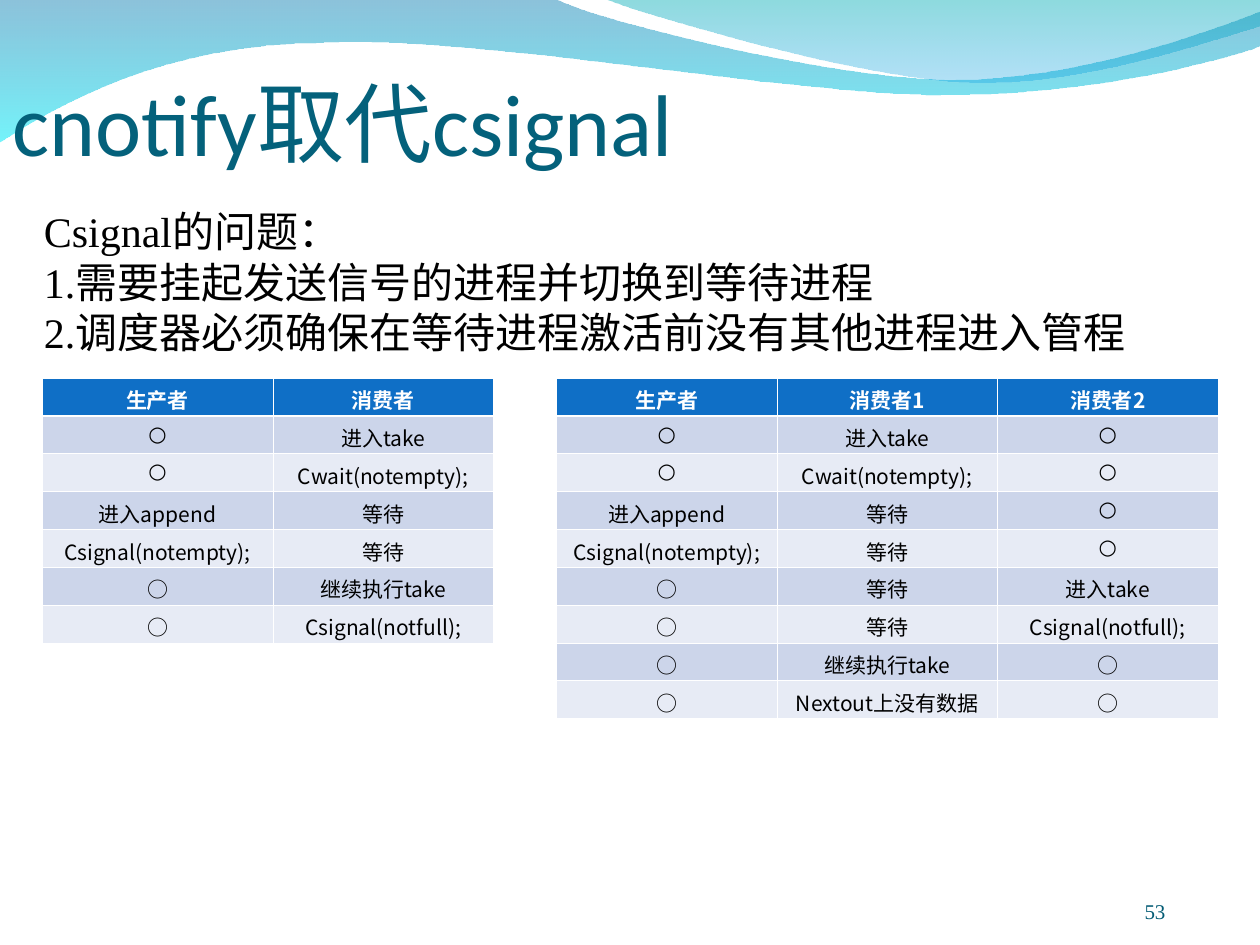
from lxml import etree
from pptx import Presentation
from pptx import util as u
from pptx.dml.color import RGBColor
from pptx.enum import text
from pptx.oxml import ns

Pt = u.Pt
SANS = "Noto Sans CJK SC"


def tint(hue):
    return RGBColor.from_string(hue)


def style(para, face, size, hue, bold=False):
    font = para.font
    font.name, font.size, font.bold = face, Pt(size), bold
    font.color.rgb = tint(hue)
    if face == SANS:
        east = etree.SubElement(font._element, ns.qn("a:ea"))
        east.set("typeface", face)


deck = Presentation()
deck.slide_width, deck.slide_height = Pt(720), Pt(540)
slide = deck.slides.add_slide(deck.slide_layouts[6])

waves = [
    ([[(0, -0.72)], [(316.8, -0.72)],
      [(342.72, 12.24), (478.08, 45.36), (545.76, 45.36)],
      [(614.16, 45.36), (689.76, 18.72), (720, 6.48)],
      [(720.72, 25.92)],
      [(707.76, 31.68), (626.4, 54.72), (537.12, 54)],
      [(447.84, 54), (275.04, 20.16), (185.04, 24.48)],
      [(92.88, 25.2), (33.12, 59.76), (-0.72, 81.36)],
      [(0, -0.72)]],
     [("0079AF", 45), ("00EBF8", 55)]),
    ([[(344.88, -0.72)],
      [(366.48, 7.92), (491.04, 44.64), (553.68, 46.8)],
      [(616.32, 49.68), (691.92, 23.04), (720, 15.12)],
      [(720, 0)],
      [(344.88, -0.72)]],
     [("00ADB6", 45), ("009BE5", 30)]),
]
for parts, stops in waves:
    dots = [(x * 100, y * 100) for part in parts for x, y in part]
    pen = slide.shapes.build_freeform(*dots[0], scale=Pt(1) / 100)
    pen.add_line_segments(dots[1:], close=True)
    wave = pen.convert_to_shape()
    lines = iter(list(wave._element.iter(ns.qn("a:lnTo"))))
    for part in parts[1:]:
        group = [next(lines) for _ in part]
        if len(group) == 3:
            curve = etree.Element(ns.qn("a:cubicBezTo"))
            group[0].addprevious(curve)
            for line in group:
                curve.append(line[0])
                line.getparent().remove(line)
    wave.shadow.inherit = False
    wave.line.fill.background()
    wave.fill.gradient()
    wave.fill.gradient_angle = 270
    for stop, (hue, alpha) in zip(wave.fill.gradient_stops, stops):
        stop.color.rgb = tint(hue)
        tone = stop._gs.find(ns.qn("a:srgbClr"))
        etree.SubElement(tone, ns.qn("a:alpha")).set("val", str(alpha * 1000))

notes = ["Csignal的问题：",
         "1.需要挂起发送信号的进程并切换到等待进程",
         "2.调度器必须确保在等待进程激活前没有其他进程进入管程"]
boxes = [
    ((516, 492, 150, 36), ["53"], "Times New Roman", 12, "045C75"),
    ((0, 36, 744, 90), ["cnotify取代csignal"], "Calibri", 50, "04617B"),
    ((18, 114, 690, 93.6), notes, "Times New Roman", 24, "000000"),
]
frames = []
for area, lines, face, size, hue in boxes:
    frame = slide.shapes.add_textbox(*map(Pt, area)).text_frame
    frame.word_wrap = True
    frame.text = "\n".join(lines)
    for para in frame.paragraphs:
        style(para, face, size, hue)
    frames.append(frame)

page, title, body = frames
page.margin_left = page.margin_right = page.margin_top = page.margin_bottom = 0
page.vertical_anchor = text.MSO_ANCHOR.BOTTOM
page.paragraphs[0].alignment = text.PP_ALIGN.RIGHT
props = title.paragraphs[0]._p.get_or_add_pPr()
props.set("marL", str(Pt(21.6)))
props.set("indent", str(-Pt(21.6)))
body.auto_size = text.MSO_AUTO_SIZE.SHAPE_TO_FIT_TEXT

pair = [
    ["生产者", "消费者"],
    ["○", "进入take"],
    ["○", "Cwait(notempty);"],
    ["进入append", "等待"],
    ["Csignal(notempty);", "等待"],
    ["○", "继续执行take"],
    ["○", "Csignal(notfull);"],
]
trio = [
    ["生产者", "消费者1", "消费者2"],
    ["○", "进入take", "○"],
    ["○", "Cwait(notempty);", "○"],
    ["进入append", "等待", "○"],
    ["Csignal(notempty);", "等待", "○"],
    ["○", "等待", "进入take"],
    ["○", "等待", "Csignal(notfull);"],
    ["○", "继续执行take", "○"],
    ["○", "Nextout上没有数据", "○"],
]
for left, wides, rows in [(24, [132, 126], pair), (318, [126] * 3, trio)]:
    grid = slide.shapes.add_table(len(rows), len(wides), Pt(left), Pt(216),
                                  Pt(sum(wides)), Pt(21.6 * len(rows))).table
    for col, wide in zip(grid.columns, wides):
        col.width = Pt(wide)
    for r, row in enumerate(rows):
        grid.rows[r].height = Pt(21.6)
        for c, word in enumerate(row):
            cell = grid.cell(r, c)
            cell.text = word
            cell.margin_left = cell.margin_right = Pt(7.2)
            cell.margin_top = cell.margin_bottom = Pt(3.6)
            cell.fill.solid()
            cell.fill.fore_color.rgb = tint(
                "0F6FC6" if r == 0 else "CCD5EA" if r % 2 else "E7EBF5")
            face = SANS
            if word == "○" and r < 5:
                face = "Cambria"
            elif word == "等待" and r == 3:
                face = "Courier New"
            para = cell.text_frame.paragraphs[0]
            para.alignment = text.PP_ALIGN.CENTER
            style(para, face, 12, "000000" if r else "FFFFFF", r == 0)
            props = cell._tc.get_or_add_tcPr()
            for spot, side in enumerate("LRTB"):
                thick = (r, side) in [(0, "B"), (1, "T")]
                edge = etree.Element(ns.qn("a:ln" + side))
                edge.set("w", str(Pt(1.47 if thick else 0.45)))
                ink = etree.SubElement(edge, ns.qn("a:solidFill"))
                etree.SubElement(ink, ns.qn("a:srgbClr")).set("val", "FFFFFF")
                props.insert(spot, edge)

deck.save("out.pptx")
